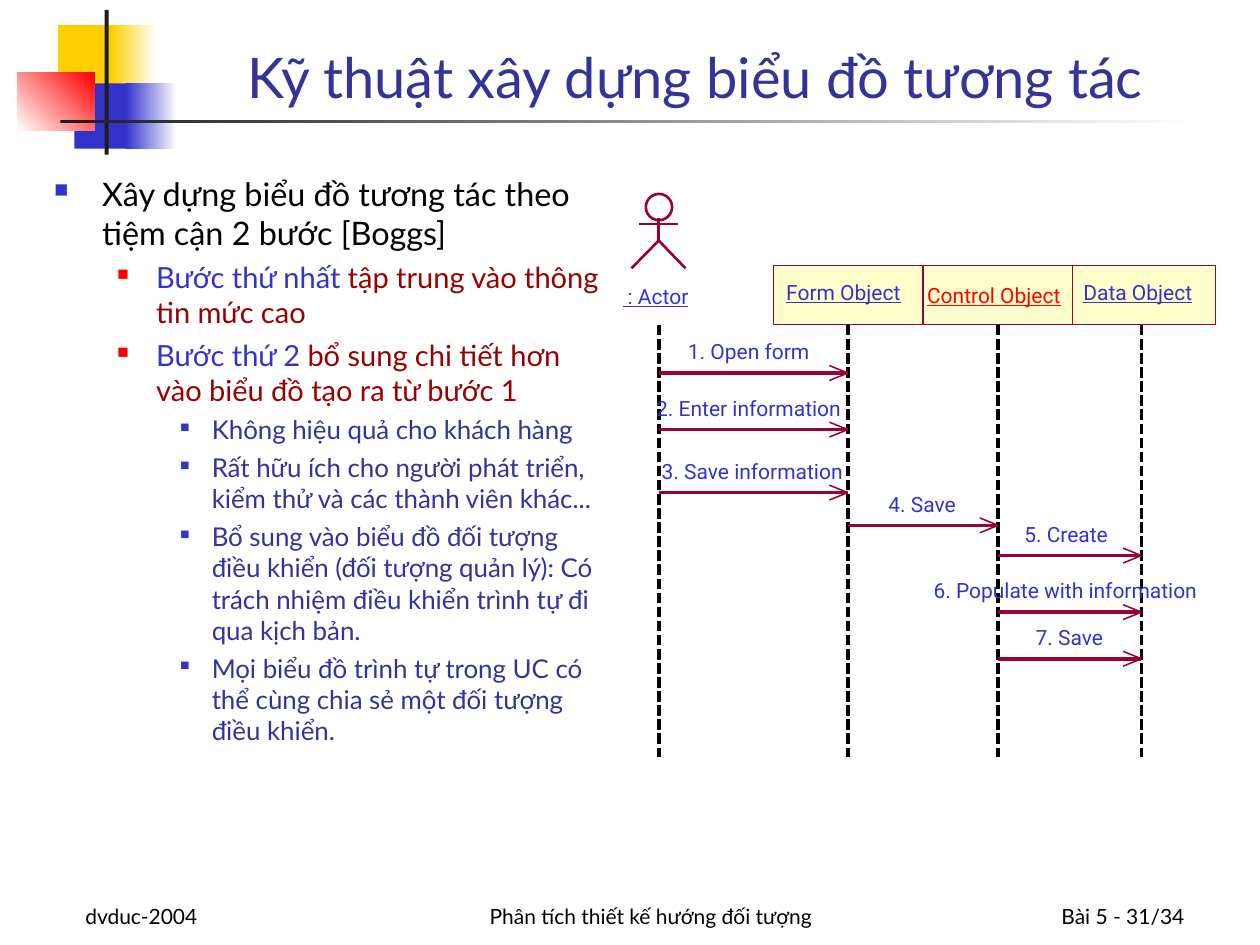
from lxml import etree
from pptx import Presentation
from pptx import util as u
from pptx.dml.color import RGBColor
from pptx.enum import dml, shapes, text
from pptx.oxml.ns import qn

NAVY, BLUE, RED, BROWN = "333399", "3333CC", "FF0000", "990000"
WINE, CREAM, DARK, BLACK, WHITE = "990033", "FFFFCC", "1C1C1C", "000000", "FFFFFF"
ALIGN, ANCHOR = text.PP_ALIGN, text.MSO_ANCHOR
ACTOR, FORM, CONTROL, DATA = 13.28, 17.09, 20.12, 23.01
LIFE_TOP, LIFE_END = 6.55, 15.27

BLOCKS = [
    (1.17, 0.51, 1.22, 1.32, "FFCF01", None, 0),
    (2.24, 0.51, 0.91, 1.32, "FFCF01", WHITE, 0),
    (1.5, 1.68, 1.17, 1.32, BLUE, None, 0),
    (2.54, 1.68, 1.02, 1.32, BLUE, WHITE, 0),
    (0.36, 1.47, 1.55, 1.17, WHITE, RED, 45),
    (2.11, 0.2, 0.08, 2.92, DARK, None, 0),
    (1.22, 2.41, 22.86, 0.08, DARK, WHITE, 0),
]
FOOTERS = [
    (1.47, 5.28, "dvduc-2004", ALIGN.LEFT),
    (8.26, 9.73, "Phân tích thiết kế hướng đối tượng", ALIGN.CENTER),
    (18.85, 5.28, "Bài 5 - 31/34", ALIGN.RIGHT),
]
LEVELS = [
    (18.5, 0.97, 0.97, 5, BLUE, 60),
    (16.6, 2.06, 0.79, 4.5, RED, 55),
    (14.8, 3.18, 0.64, 4, BLUE, 50),
]
POINTS = [
    (0, [("Xây dựng biểu đồ tương tác theo tiệm cận 2 bước [Boggs]", BLACK)]),
    (1, [("Bước thứ nhất", BLUE), (" tập trung vào thông tin mức cao", BROWN)]),
    (1, [("Bước thứ 2", BLUE),
         (" bổ sung chi tiết hơn vào biểu đồ tạo ra từ bước 1", BROWN)]),
    (2, [("Không hiệu quả cho khách hàng", NAVY)]),
    (2, [("Rất hữu ích cho người phát triển, kiểm thử và các thành viên khác...", NAVY)]),
    (2, [("Bổ sung vào biểu đồ đối tượng điều khiển (đối tượng quản lý): "
          "Có trách nhiệm điều khiển trình tự đi qua kịch bản.", NAVY)]),
    (2, [("Mọi biểu đồ trình tự trong UC có thể cùng chia sẻ "
          "một đối tượng điều khiển.", NAVY)]),
]
OBJECTS = [
    (15.6, FORM, "Form Object", 15.85, 5.64, 2.46, BLUE),
    (21.51, DATA, "Data Object", 21.84, 5.64, 2.34, BLUE),
    (18.62, CONTROL, "Control Object", 18.69, 5.69, 2.9, RED),
]
MESSAGES = [
    (ACTOR, FORM, 7.52, "1. Open form", 13.87, 2.64),
    (ACTOR, FORM, 8.66, "2. Enter information", 13.23, 4.01),
    (ACTOR, FORM, 9.93, "3. Save information", 13.34, 3.86),
    (FORM, CONTROL, 10.59, "4. Save", 17.91, 1.4),
    (CONTROL, DATA, 11.2, "5. Create", 20.65, 1.78),
    (CONTROL, DATA, 12.34, "6. Populate with information", 18.82, 5.69),
    (CONTROL, DATA, 13.28, "7. Save", 20.88, 1.4),
]


def color(code):
    """Turn a hex string into a colour."""
    return RGBColor.from_string(code)


def add_run(para, words, size, code, font="Lato", under=None):
    """Add one styled run to a paragraph."""
    run = para.add_run()
    run.text = words
    run.font.size = u.Pt(size)
    run.font.name = font
    run.font.color.rgb = color(code)
    run.font.underline = under


def add_box(slide, x, y, w, h, anchor=ANCHOR.TOP):
    """Add a wrapping text box and return its frame."""
    frame = slide.shapes.add_textbox(u.Cm(x), u.Cm(y), u.Cm(w), u.Cm(h)).text_frame
    frame.word_wrap = True
    frame.vertical_anchor = anchor
    return frame


def add_line(slide, x1, y1, x2, y2, code=WINE, width=0, dash=None):
    """Add a straight line without shadow."""
    line = slide.shapes.add_connector(
        shapes.MSO_CONNECTOR.STRAIGHT, u.Cm(x1), u.Cm(y1), u.Cm(x2), u.Cm(y2))
    line.line.color.rgb = color(code)
    line.line.width = u.Pt(width)
    if dash:
        line.line.dash_style = dash
    etree.SubElement(line._element.spPr, qn("a:effectLst"))


def paint(shape, fill=None, line=None, width=0):
    """Set the fill and outline of a shape."""
    shape.shadow.inherit = False
    if fill:
        shape.fill.solid()
        shape.fill.fore_color.rgb = color(fill)
    else:
        shape.fill.background()
    if line:
        shape.line.color.rgb = color(line)
        shape.line.width = u.Pt(width)
    else:
        shape.line.fill.background()


def add_form(slide, kind, x, y, w, h, **style):
    """Add a painted preset shape."""
    shape = slide.shapes.add_shape(kind, u.Cm(x), u.Cm(y), u.Cm(w), u.Cm(h))
    paint(shape, **style)
    return shape


def add_block(slide, x, y, w, h, first, last, angle):
    """Add a decorative block, plain or blended to a second colour."""
    block = add_form(slide, shapes.MSO_SHAPE.RECTANGLE, x, y, w, h, fill=first)
    if last:
        block.fill.gradient()
        block.fill.gradient_angle = angle
        for stop, code in zip(block.fill.gradient_stops, (first, last)):
            stop.color.rgb = color(code)


def add_label(slide, x, y, w, words, code=BLUE, under=None):
    """Add a diagram label that fits its text."""
    frame = add_box(slide, x, y, w, 0.51)
    frame.margin_left = frame.margin_right = 0
    frame.margin_top = frame.margin_bottom = 0
    frame.word_wrap = False
    frame.auto_size = text.MSO_AUTO_SIZE.SHAPE_TO_FIT_TEXT
    add_run(frame.paragraphs[0], words, 12, code, "Roboto", under)


def add_point(para, level, runs):
    """Fill a bulleted paragraph."""
    size, left, hang, gap, code, scale = LEVELS[level]
    para.level = level
    para.space_before = u.Pt(gap)
    props = para._p.get_or_add_pPr()
    props.set("marL", str(u.Cm(left)))
    props.set("indent", str(-u.Cm(hang)))
    tint = etree.SubElement(props, qn("a:buClr"))
    etree.SubElement(tint, qn("a:srgbClr"), val=code)
    etree.SubElement(props, qn("a:buSzPct"), val=str(scale * 1000))
    etree.SubElement(props, qn("a:buChar"), char="■")
    for words, shade in runs:
        add_run(para, words, size, shade)


def add_life(slide, x):
    """Add a dashed lifeline."""
    add_line(slide, x, LIFE_TOP, x, LIFE_END, BLACK, dash=dml.MSO_LINE.SQUARE_DOT)


def add_actor(slide):
    """Add the stick figure with its name and lifeline."""
    add_form(slide, shapes.MSO_SHAPE.OVAL, 13.02, 3.91, 0.53, 0.53, line=WINE, width=1.5)
    add_line(slide, ACTOR, 4.4, ACTOR, 4.85, width=1.5)
    add_line(slide, 12.88, 4.52, 13.67, 4.52, width=1.5)
    pen = slide.shapes.build_freeform(u.Cm(12.73), u.Cm(5.41))
    pen.add_line_segments(
        [(u.Cm(ACTOR), u.Cm(4.85)), (u.Cm(13.82), u.Cm(5.41))], close=False)
    paint(pen.convert_to_shape(), line=WINE, width=1.5)
    add_label(slide, 12.55, 5.72, 1.4, " : Actor", under=True)
    add_life(slide, ACTOR)


def add_object(slide, left, life, words, x, y, w, code):
    """Add an object box with its name and lifeline."""
    add_form(slide, shapes.MSO_SHAPE.RECTANGLE, left, 5.36, 3, 1.19, fill=CREAM, line=WINE)
    add_label(slide, x, y, w, words, code, True)
    add_life(slide, life)


def add_message(slide, start, end, y, words, x, w):
    """Add an open-headed arrow and its label."""
    add_line(slide, start, y, end, y)
    for rise in (0.15, -0.15):
        add_line(slide, end, y, end - 0.37, y + rise, width=0.88)
    add_label(slide, x, y - 0.69, w, words)


def main():
    """Build and save the slide."""
    deck = Presentation()
    deck.slide_width, deck.slide_height = u.Cm(25.4), u.Cm(19.05)
    slide = deck.slides.add_slide(deck.slide_layouts[6])
    for block in BLOCKS:
        add_block(slide, *block)
    for x, w, words, align in FOOTERS:
        para = add_box(slide, x, 17.58, w, 1.27, ANCHOR.BOTTOM).paragraphs[0]
        para.alignment = align
        add_run(para, words, 12, BLACK)
    title = add_box(slide, 3.2, 0.2, 21.64, 2.13, ANCHOR.BOTTOM).paragraphs[0]
    title.alignment = ALIGN.CENTER
    add_run(title, "Kỹ thuật xây dựng biểu đồ tương tác", 32, NAVY)
    body = add_box(slide, 0.84, 3.38, 11.63, 14.61)
    for index, point in enumerate(POINTS):
        add_point(body.add_paragraph() if index else body.paragraphs[0], *point)
    add_actor(slide)
    for item in OBJECTS:
        add_object(slide, *item)
    for item in MESSAGES:
        add_message(slide, *item)
    deck.save("out.pptx")


if __name__ == "__main__":
    main()
